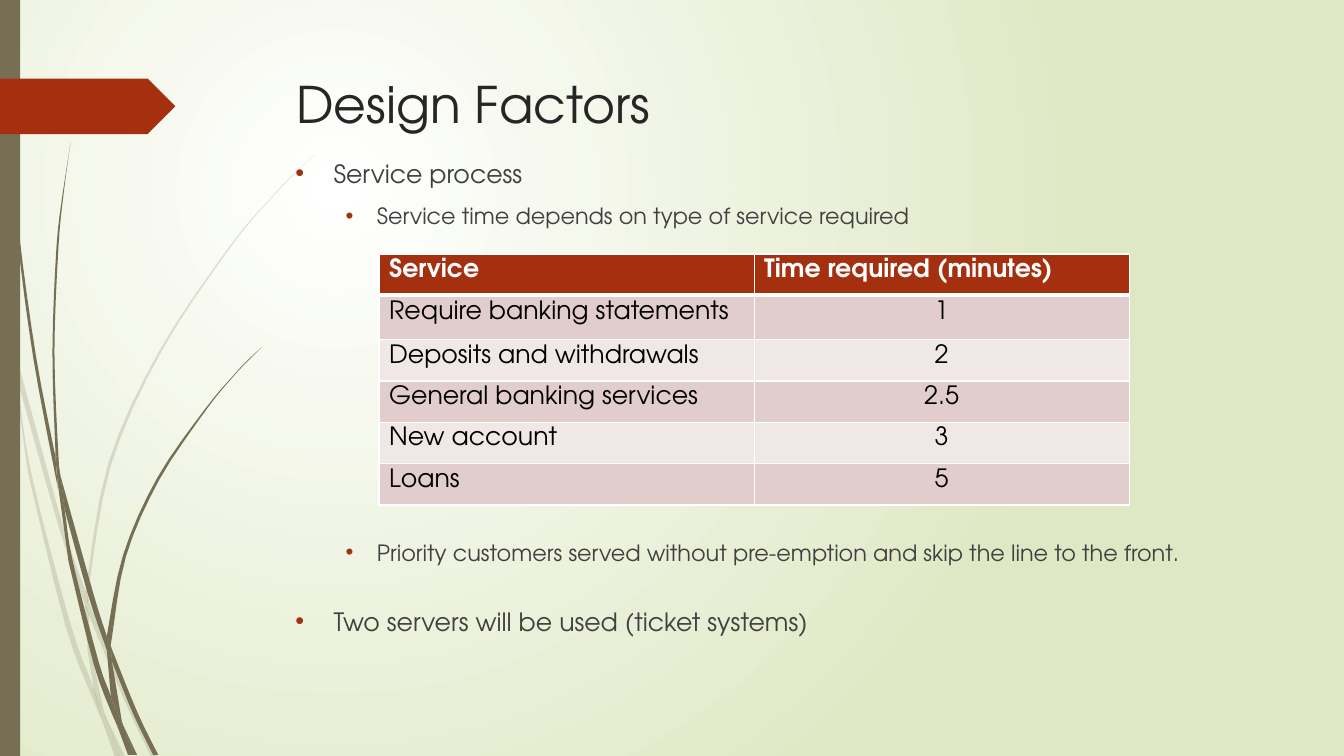
import pptx
import pptx.util
import pptx.dml.color
import pptx.enum.shapes
import pptx.enum.text
import pptx.oxml
import pptx.oxml.ns

COLUMNS, ROWS = 1333, 750
CELL = pptx.util.Inches(0.01)
FONT = "TeX Gyre Adventor"
OLIVE, RUST, WHITE = "766F54", "A53010", "FFFFFF"
NAMESPACE = pptx.oxml.ns.nsdecls("a")
color = pptx.dml.color.RGBColor.from_string


def smooth(edge):
    points = [edge[0]]
    padded = [edge[0], *edge, edge[-1]]
    for before, start, end, after in zip(padded, padded[1:], padded[2:], padded[3:]):
        for share in (0.25, 0.5, 0.75, 1):
            points.append(tuple(
                b + (c - a) * share / 2
                + (2 * a - 5 * b + 4 * c - d) * share ** 2 / 2
                + (3 * b - a - 3 * c + d) * share ** 3 / 2
                for a, b, c, d in zip(before, start, end, after)))
    return [(x * CELL, y * CELL) for x, y in points]


def write(para, text, formats):
    span = para.add_run()
    span.text = text
    span.font.color.rgb = color(formats["color"])
    for name, value in formats["font"].items():
        setattr(span.font, name, value)


deck = pptx.Presentation()
deck.slide_width, deck.slide_height = COLUMNS * CELL, ROWS * CELL
page = deck.slides.add_slide(deck.slide_layouts[6])

backdrop = page.background.fill
backdrop.gradient()
for stop, position, tint in zip(backdrop.gradient_stops, (0, 1), (WHITE, "DFE8C4")):
    stop.position = position
    stop.color.rgb = color(tint)
gradient = page.element.find(".//" + pptx.oxml.ns.qn("a:gradFill"))
gradient.replace(gradient.find(pptx.oxml.ns.qn("a:lin")), pptx.oxml.parse_xml(
    f'<a:path {NAMESPACE} path="circle">'
    '<a:fillToRect l="50000" t="50000" r="100000" b="100000"/></a:path>'))

faint_grass = [
    ([(0, 282), (9, 322), (11, 350)], [(10, 344), (0, 299)]),
    ([(14, 345), (62, 520), (85, 586)], [(84, 599), (58, 522), (17, 376)]),
    ([(88, 596), (92, 607), (127, 692), (155, 751)], [(150, 751), (123, 694), (88, 610)]),
    ([(105, 711), (124, 751)], [(119, 751)]),
    ([(11, 350), (17, 376), (31, 469), (70, 619), (93, 683), (101, 714)],
     [(92, 693), (65, 621), (28, 470)]),
    ([(84, 599), (88, 610), (91, 646), (103, 706), (105, 711)],
     [(96, 692), (93, 683), (87, 646)]),
    ([(85, 586), (107, 461), (158, 348), (228, 244), (268, 197), (289, 175), (312, 153)],
     [(290, 175), (268, 198), (229, 245), (160, 349), (110, 462), (88, 584), (88, 596)]),
    ([(101, 714), (119, 751)], [(114, 751)]),
    ([(84, 599), (85, 586), (88, 596)], [(88, 610)]),
    ([(93, 683), (96, 692), (105, 711), (119, 751)], [(101, 714), (99, 707)]),
]
dark_grass = [
    ([(3, 0), (4, 48), (7, 110), (17, 233), (33, 355), (56, 477), (57, 481)],
     [(55, 453), (36, 355), (19, 232), (8, 109), (5, 48), (4, 0)]),
    ([(60, 472), (93, 590), (106, 631)], [(106, 645), (88, 592), (64, 505)]),
    ([(110, 641), (113, 649), (136, 706), (157, 749)], [(152, 749), (132, 708), (111, 656)]),
    ([(57, 477), (64, 505), (72, 556), (98, 657), (110, 691), (117, 722)],
     [(111, 708), (93, 659), (68, 557)]),
    ([(70, 141), (63, 193), (58, 245), (54, 349), (58, 453), (60, 472)],
     [(55, 449), (52, 349), (56, 245), (62, 193)]),
    ([(122, 719), (136, 749)], [(133, 749)]),
    ([(55, 449), (60, 472), (64, 505)], [(57, 477), (55, 453)]),
    ([(106, 631), (122, 551), (156, 474), (204, 405), (231, 373), (245, 358), (260, 344)],
     [(245, 359), (231, 374), (205, 406), (158, 476), (125, 552), (111, 633), (110, 641)]),
    ([(117, 722), (131, 749)], [(127, 749)]),
    ([(106, 645), (109, 651), (111, 656), (121, 716), (122, 719)], [(116, 706), (110, 691)]),
    ([(106, 631), (110, 641), (111, 656)], [(109, 651), (106, 645)]),
    ([(110, 691), (116, 706), (122, 719), (133, 749)], [(130, 749), (117, 722)]),
]
for blades, opacity in ((faint_grass, 20000), (dark_grass, 100000)):
    for edges in blades:
        outline = [point for edge in edges for point in smooth(edge)]
        builder = page.shapes.build_freeform(*outline[0], scale=1.0)
        builder.add_line_segments(outline[1:], close=True)
        blade = builder.convert_to_shape()
        blade.shadow.inherit = False
        blade.fill.solid()
        blade.fill.fore_color.rgb = color(OLIVE)
        blade.line.fill.background()
        tint = blade.element.spPr.find(".//" + pptx.oxml.ns.qn("a:srgbClr"))
        tint.append(pptx.oxml.parse_xml(f'<a:alpha {NAMESPACE} val="{opacity}"/>'))

presets = pptx.enum.shapes.MSO_SHAPE
for preset, place, tint in (
        (presets.RECTANGLE, (0, 0, 20, ROWS), OLIVE),
        (presets.PENTAGON, (0, 78, 174, 55), RUST)):
    band = page.shapes.add_shape(preset, *(CELL * cells for cells in place))
    band.shadow.inherit = False
    band.fill.solid()
    band.fill.fore_color.rgb = color(tint)
    band.line.fill.background()

title_look = {"color": "262626", "font": {"name": FONT, "size": pptx.util.Pt(36)}}
point_look = {"color": "404040", "font": {"name": FONT, "size": pptx.util.Pt(18)}}
detail_look = {"color": "404040", "font": {"name": FONT, "size": pptx.util.Pt(16)}}
boxes = [
    ((284, 68, 975, 140), [("Design Factors", title_look, 0, 0, 0)]),
    ((283, 152, 975, 567), [
        ("Service process", point_look, 38, 38, 0),
        ("Service time depends on type of service required", detail_look, 81, 31, 10),
        ("Priority customers served without pre-emption and skip the line to the front.",
         detail_look, 81, 31, 221),
        ("Two servers will be used (ticket systems)", point_look, 38, 38, 29)]),
]
for place, lines in boxes:
    box = page.shapes.add_textbox(*(CELL * cells for cells in place))
    box.text_frame.word_wrap = True
    for index, (text, look, margin, hanging, gap) in enumerate(lines):
        para = box.text_frame.add_paragraph() if index else box.text_frame.paragraphs[0]
        para.space_before = pptx.util.Pt(gap)
        write(para, text, look)
        if hanging:
            properties = para._p.get_or_add_pPr()
            properties.set("marL", str(margin * CELL))
            properties.set("indent", str(-hanging * CELL))
            for bullet in (f'<a:buClr {NAMESPACE}><a:srgbClr val="{RUST}"/></a:buClr>',
                           f'<a:buFont {NAMESPACE} typeface="Arial"/>',
                           f'<a:buChar {NAMESPACE} char="•"/>'):
                properties.append(pptx.oxml.parse_xml(bullet))

services = [
    ("Service", "Time required (minutes)"),
    ("Require banking statements", "1"),
    ("Deposits and withdrawals", "2"),
    ("General banking services", "2.5"),
    ("New account", "3"),
    ("Loans", "5"),
]
table = page.shapes.add_table(
    len(services), 2, *(CELL * cells for cells in (376, 252, 744, 249))).table
for row_index, texts in enumerate(services):
    header = row_index == 0
    table.rows[row_index].height = CELL * (44 if row_index == 1 else 41)
    fill = RUST if header else ("F0E8E7", "E1CDCC")[row_index % 2]
    look = {"color": WHITE if header else "000000",
            "font": {"name": FONT, "size": pptx.util.Pt(18), "bold": header}}
    for column_index, text in enumerate(texts):
        cell = table.cell(row_index, column_index)
        cell.fill.solid()
        cell.fill.fore_color.rgb = color(fill)
        para = cell.text_frame.paragraphs[0]
        write(para, text, look)
        if column_index and not header:
            para.alignment = pptx.enum.text.PP_ALIGN.CENTER
        for position, side in enumerate("LRTB"):
            thick = (header and side == "B") or (row_index == 1 and side == "T")
            width = pptx.util.Pt(3 if thick else 1)
            cell._tc.get_or_add_tcPr().insert(position, pptx.oxml.parse_xml(
                f'<a:ln{side} {NAMESPACE} w="{width}"><a:solidFill>'
                f'<a:srgbClr val="{WHITE}"/></a:solidFill></a:ln{side}>'))

deck.save("out.pptx")
